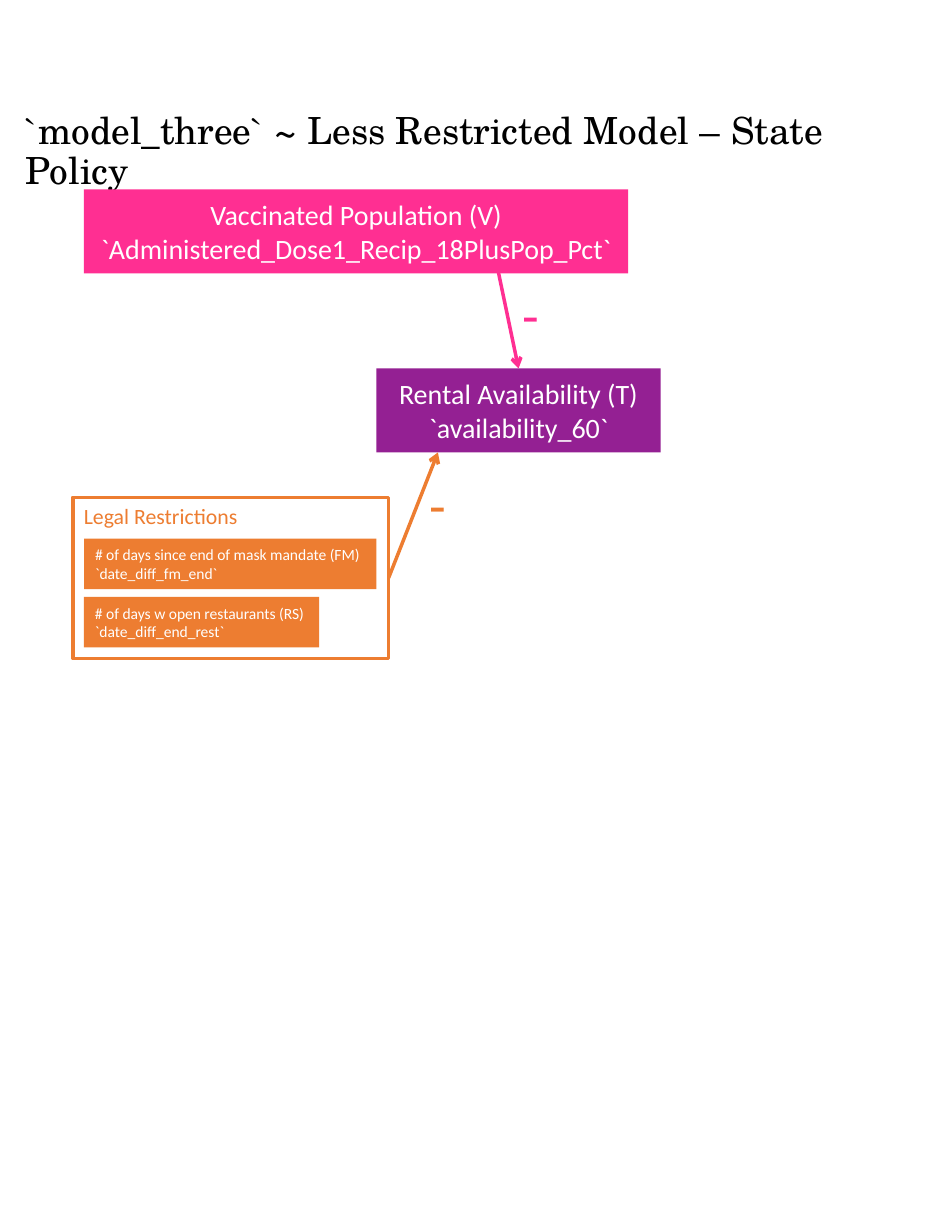
from dataclasses import dataclass

from pptx import Presentation
from pptx.dml.color import RGBColor
from pptx.enum.shapes import MSO_CONNECTOR, MSO_SHAPE
from pptx.enum.text import MSO_ANCHOR, MSO_AUTO_SIZE, PP_ALIGN
from pptx.oxml.ns import qn
from pptx.util import Inches, Pt
from lxml import etree

RECTANGLE = MSO_SHAPE.RECTANGLE
STRAIGHT = MSO_CONNECTOR.STRAIGHT
LEFT, CENTER = PP_ALIGN.LEFT, PP_ALIGN.CENTER
TOP, MIDDLE = MSO_ANCHOR.TOP, MSO_ANCHOR.MIDDLE
NO_FIT, GROW = MSO_AUTO_SIZE.NONE, MSO_AUTO_SIZE.SHAPE_TO_FIT_TEXT
TOP_SIDE, RIGHT_SIDE = 0, 3
TITLE_ONLY = 5


@dataclass(frozen=True)
class Theme:
    black: str = "000000"
    white: str = "FFFFFF"
    pink: str = "FF2F92"
    purple: str = "942093"
    orange: str = "ED7D31"
    title_font: str = "TeX Gyre Schola"
    body_font: str = "Calibri"
    title_size: int = 24
    box_size: int = 18
    panel_size: int = 14
    item_size: int = 10
    sign_size: int = 35
    line_width: float = 2.25


THEME = Theme()


def write(shape, lines, size, color, font=THEME.body_font, align=LEFT,
          anchor=TOP, fit=NO_FIT, spacing=None):
    frame = shape.text_frame
    frame_format = {"word_wrap": True, "auto_size": fit, "vertical_anchor": anchor}
    for name, value in frame_format.items():
        setattr(frame, name, value)
    frame.text = "\n".join(lines)
    for para in frame.paragraphs:
        para.alignment = align
        para.line_spacing = spacing
        for name, value in {"name": font, "size": Pt(size)}.items():
            setattr(para.font, name, value)
        para.font.color.rgb = RGBColor.from_string(color)


def add_title(page, text):
    title = page.shapes.title
    place = {"left": 0.13, "top": 0.95, "width": 8.25, "height": 1.12}
    for name, value in place.items():
        setattr(title, name, Inches(value))
    write(title, [text], THEME.title_size, THEME.black, THEME.title_font, spacing=0.9)


def add_box(shapes, place, fill, lines, size, color=THEME.white, outline=None,
            align=LEFT, anchor=MIDDLE):
    box = shapes.add_shape(RECTANGLE, *map(Inches, place))
    box.shadow.inherit = False
    box.fill.solid()
    box.fill.fore_color.rgb = RGBColor.from_string(fill)
    if outline:
        box.line.color.rgb = RGBColor.from_string(outline)
        box.line.width = Pt(THEME.line_width)
    else:
        box.line.fill.background()
    write(box, lines, size, color, align=align, anchor=anchor)
    return box


def add_arrow(page, start, end, color):
    arrow = page.shapes.add_connector(STRAIGHT, *map(Inches, start + end))
    arrow.line.color.rgb = RGBColor.from_string(color)
    arrow.line.width = Pt(THEME.line_width)
    etree.SubElement(arrow.line._get_or_add_ln(), qn("a:tailEnd"), type="arrow")
    etree.SubElement(arrow._element.spPr, qn("a:effectLst"))
    return arrow


def add_sign(page, place, color):
    sign = page.shapes.add_textbox(*map(Inches, place))
    write(sign, ["-"], THEME.sign_size, color, fit=GROW)


def add_restrictions(page):
    """Add the grouped panel of legal restrictions and return its frame."""
    shapes = page.shapes.add_group_shape().shapes
    panel = add_box(shapes, (0.65, 4.44, 2.82, 1.44), THEME.white,
                    ["Legal Restrictions"], THEME.panel_size, THEME.orange,
                    outline=THEME.orange, anchor=TOP)
    items = [
        (2.61, "# of days since end of mask mandate (FM) `date_diff_fm_end`"),
        (2.1, "# of days w open restaurants (RS) `date_diff_end_rest`"),
    ]
    for row, (width, text) in enumerate(items):
        add_box(shapes, (0.75, 4.81 + 0.52 * row, width, 0.45), THEME.orange,
                [text], THEME.item_size)
    return panel


def main():
    deck = Presentation()
    deck.slide_width, deck.slide_height = Inches(8.5), Inches(11)
    page = deck.slides.add_slide(deck.slide_layouts[TITLE_ONLY])
    add_title(page, "`model_three` ~ Less Restricted Model – State Policy")

    availability = add_box(page.shapes, (3.36, 3.29, 2.54, 0.75), THEME.purple,
                           ["Rental Availability (T)", "`availability_60`"],
                           THEME.box_size, align=CENTER)
    vaccine_arrow = add_arrow(page, (4.36, 2), (4.61, 3.3), THEME.pink)
    vaccine_arrow.end_connect(availability, TOP_SIDE)
    policy_arrow = add_arrow(page, (3.48, 5.16), (3.91, 4.04), THEME.orange)
    add_sign(page, (3.74, 4.16, 0.37, 0.69), THEME.orange)
    add_sign(page, (4.57, 2.46, 0.27, 0.69), THEME.pink)

    add_box(page.shapes, (0.75, 1.69, 4.86, 0.75), THEME.pink,
            ["Vaccinated Population (V)", "`Administered_Dose1_Recip_18PlusPop_Pct`"],
            THEME.box_size, align=CENTER)
    policy_arrow.begin_connect(add_restrictions(page), RIGHT_SIDE)
    deck.save("out.pptx")


if __name__ == "__main__":
    main()
